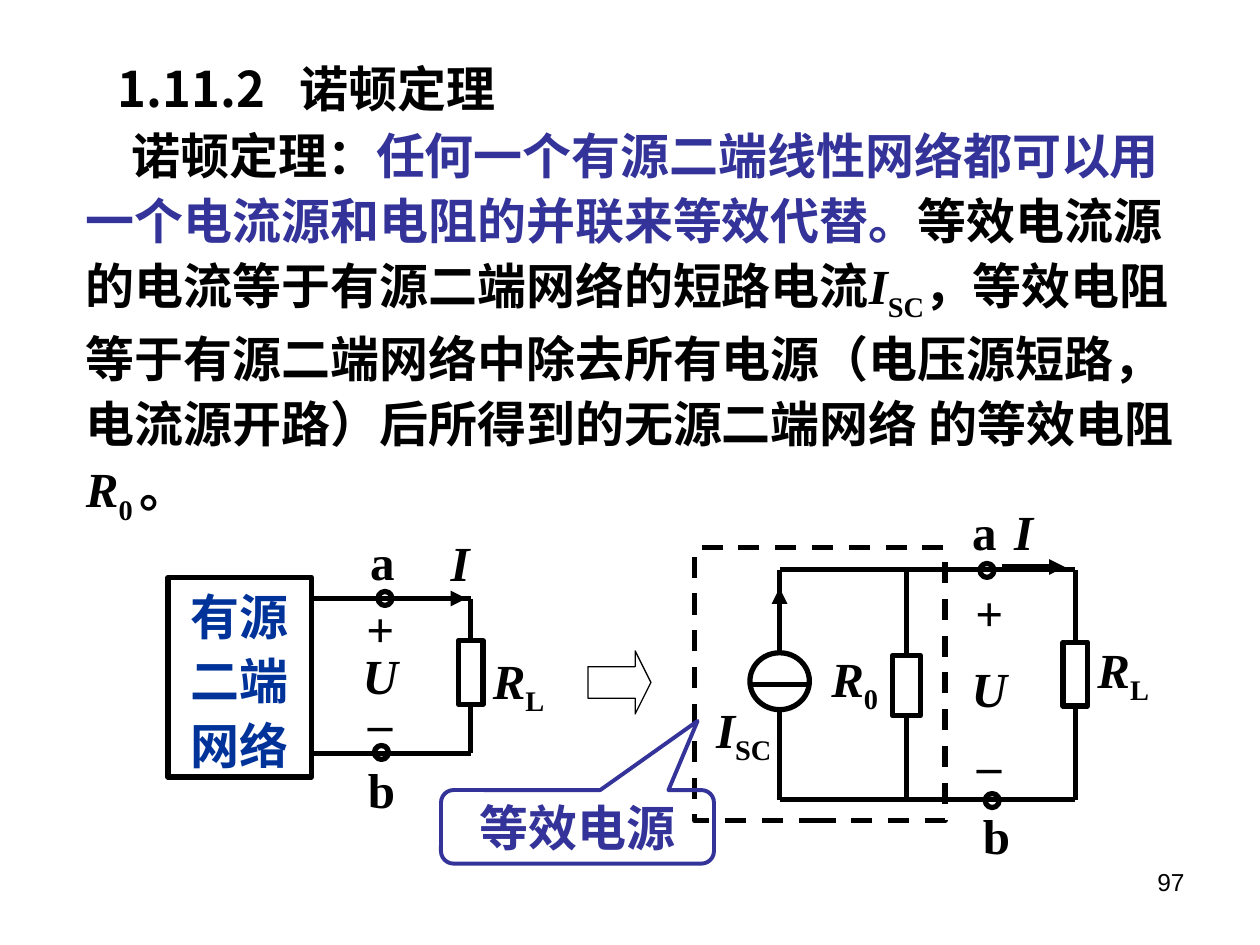
"""Build a slide on Norton's theorem with the two equivalent circuits."""
from dataclasses import dataclass

from lxml.etree import SubElement
from pptx import Presentation
from pptx.dml.color import RGBColor
from pptx.enum.dml import MSO_LINE_DASH_STYLE as Dash
from pptx.enum.shapes import MSO_CONNECTOR as Connector, MSO_SHAPE as Shape
from pptx.enum.text import MSO_ANCHOR as Anchor, MSO_AUTO_SIZE as AutoSize, PP_ALIGN as Align
from pptx.oxml.ns import qn
from pptx.util import Pt


@dataclass(frozen=True)
class Theme:
    black: str = "000000"
    white: str = "FFFFFF"
    violet: str = "333399"
    blue: str = "003399"
    serif: str = "Times New Roman"
    sans: str = "Arial"
    chinese: str = "Noto Sans CJK SC"
    text_size: float = 28
    page_size: float = 14
    wire: float = 3
    callout_line: float = 2.25
    thin: float = 0.75


THEME = Theme()


class CircuitSlide:
    def __init__(self, slide, theme):
        self.shapes = slide.shapes
        self.theme = theme

    def add_run(self, paragraph, text, kind="", color=None, latin=None, size=None, bold=True):
        run = paragraph.add_run()
        run.text = text
        font = run.font
        font.size = Pt(size or self.theme.text_size)
        font.bold = bold
        font.italic = kind == "italic"
        font.color.rgb = RGBColor.from_string(color or self.theme.black)
        font.name = latin or self.theme.serif
        properties = run._r.get_or_add_rPr()
        SubElement(properties, qn("a:ea")).set("typeface", self.theme.chinese)
        if kind == "sub":
            properties.set("baseline", "-25000")

    def set_text(self, frame, paragraphs, align=Align.CENTER, spacing=None, wrap=False,
                 anchor=Anchor.TOP, **style):
        frame.auto_size = AutoSize.NONE
        frame.word_wrap = wrap
        frame.vertical_anchor = anchor
        for index, runs in enumerate(paragraphs):
            paragraph = frame.add_paragraph() if index else frame.paragraphs[0]
            paragraph.alignment = align
            paragraph.space_before = Pt(0)
            if spacing:
                paragraph.line_spacing = spacing
            for run in runs:
                self.add_run(paragraph, *run, **style)

    def title(self, left, top, width, height, number, name, tab):
        title = self.shapes.title
        title.left, title.top, title.width, title.height = map(Pt, (left, top, width, height))
        properties = title.text_frame.paragraphs[0]._p.get_or_add_pPr()
        stop = SubElement(SubElement(properties, qn("a:tabLst")), qn("a:tab"))
        stop.set("pos", str(Pt(tab)))
        stop.set("algn", "l")
        self.set_text(title.text_frame, [[(number + "\t",), (name,)]], Align.LEFT, wrap=True,
                      latin=self.theme.chinese)

    def text(self, left, top, width, height, paragraphs, indent=0, **style):
        box = self.shapes.add_textbox(*map(Pt, (left, top, width, height)))
        self.set_text(box.text_frame, paragraphs, **style)
        if indent:
            box.text_frame.paragraphs[0]._p.get_or_add_pPr().set("indent", str(Pt(indent)))

    def label(self, left, top, width, *runs, align=Align.CENTER):
        self.text(left, top, width, 41, [runs], align=align)

    def shape(self, kind, left, top, width, height, color=None, line=None, fill=None,
              dash=None, adjustments=()):
        shape = self.shapes.add_shape(kind, *map(Pt, (left, top, width, height)))
        shape.shadow.inherit = False
        if fill:
            shape.fill.solid()
            shape.fill.fore_color.rgb = RGBColor.from_string(fill)
        else:
            shape.fill.background()
        shape.line.color.rgb = RGBColor.from_string(color or self.theme.black)
        shape.line.width = Pt(line or self.theme.wire)
        if dash:
            shape.line.dash_style = dash
        for index, value in enumerate(adjustments):
            shape.adjustments[index] = value
        return shape

    def wire(self, x1, y1, x2, y2, arrow=False):
        wire = self.shapes.add_connector(Connector.STRAIGHT, *map(Pt, (x1, y1, x2, y2)))
        wire.line.color.rgb = RGBColor.from_string(self.theme.black)
        wire.line.width = Pt(self.theme.wire)
        properties = wire._element.spPr
        if arrow:
            SubElement(properties.find(qn("a:ln")), qn("a:tailEnd")).set("type", "triangle")
        SubElement(properties, qn("a:effectLst"))
        return wire

    def resistor(self, center, top, width, height, wire_top, wire_bottom):
        body = self.shape(Shape.RECTANGLE, center - width / 2, top, width, height)
        for wire_end, side in ((wire_top, 0), (wire_bottom, 2)):
            self.wire(center, wire_end, center, top).end_connect(body, side)

    def terminal(self, left, top):
        self.shape(Shape.OVAL, left, top, 8, 8)

    def voltage(self, left, top, height, spacing):
        self.text(left, top, 34.5, height, [[("+",)], [("U", "italic")], [("–",)]],
                  spacing=spacing)


def add_theorem(page):
    page.title(60, 30, 360, 48, "1.11.2", "诺顿定理", 104)
    page.text(42, 70, 648, 229, [[
        ("诺顿定理：",),
        ("任何一个有源二端线性网络都可以用一个电流源和电阻的并联来等效代替。", "", THEME.violet),
        ("等效电流源的电流等于有源二端网络的短路电流",),
        ("I", "italic"), ("SC", "sub"),
        ("，等效电阻等于有源二端网络中除去所有电源（电压源短路，电流源开路）"
         "后所得到的无源二端网络 的等效电阻",),
        ("R", "italic"), ("0 ", "sub"), ("。",),
    ]], indent=26, align=Align.LEFT, spacing=1.1, wrap=True, anchor=Anchor.MIDDLE)
    page.text(516, 492, 168, 37, [[("97",)]], align=Align.RIGHT, wrap=True,
              latin=THEME.sans, size=THEME.page_size, bold=False)


def add_network(page):
    top, bottom, load = 342, 430.5, 269
    network = page.shape(Shape.RECTANGLE, 96, 330, 82, 114)
    page.set_text(network.text_frame, [[(line,)] for line in ("有源", "二端", "网络")],
                  spacing=1.1, anchor=Anchor.MIDDLE, color=THEME.blue)
    for y in (top, bottom):
        page.wire(179.5, y, load, y)
    page.resistor(load, 366, 14, 36.5, top, bottom)
    page.wire(230.5, top, 266.5, top, arrow=True)
    page.terminal(216, 338)
    page.terminal(214, 426)
    page.voltage(200, 345, 88, 0.8)
    page.label(204, 300, 29, ("a",))
    page.label(203, 430.5, 30, ("b",))
    page.label(250.5, 301, 25, ("I", "italic"))
    page.label(274.5, 368, 46, ("R", "italic"), ("L", "sub"), align=Align.LEFT)


def add_equivalent(page):
    top, bottom, source, inner, load = 325.5, 457, 445.5, 518, 614.5
    page.shape(Shape.RECTANGLE, 397, 313, 143, 156, dash=Dash.DASH)
    callout = page.shape(Shape.ROUNDED_RECTANGULAR_CALLOUT, 252, 451.5, 156, 42,
                         THEME.violet, THEME.callout_line, adjustments=(0.44, -1.44, 0.17))
    page.set_text(callout.text_frame, [[("等效电源",)]], anchor=Anchor.MIDDLE,
                  color=THEME.violet)
    page.shape(Shape.OVAL, source - 17, 373, 34, 32.5)
    page.wire(source - 17, 391, source + 16, 391)
    page.wire(source, top, source, 373)
    page.wire(source, 405.5, source, bottom)
    page.wire(source, 372, source, 336, arrow=True)
    for y in (top, bottom):
        page.wire(source, y, load, y)
    page.resistor(inner, 374.5, 16, 34.5, top, bottom)
    page.resistor(load, 367, 14, 36.5, top, bottom)
    page.wire(572.5, 324, 608.5, 324, arrow=True)
    page.terminal(560, 322)
    page.terminal(563, 453.5)
    page.voltage(548, 319, 138, 1.3)
    page.label(548, 283, 29, ("a",))
    page.label(554.5, 457, 30, ("b",))
    page.label(572.5, 283, 25, ("I", "italic"))
    page.label(397.5, 396, 55, ("I", "italic"), ("SC", "sub"))
    page.label(468, 367, 56, ("R", "italic"), ("0", "sub"), align=Align.LEFT)
    page.label(620, 362, 46, ("R", "italic"), ("L", "sub"), align=Align.LEFT)


def main():
    presentation = Presentation()
    presentation.slide_width, presentation.slide_height = Pt(720), Pt(540)
    page = CircuitSlide(presentation.slides.add_slide(presentation.slide_layouts[5]), THEME)
    add_theorem(page)
    add_network(page)
    page.shape(Shape.RIGHT_ARROW, 336, 372, 36, 36, line=THEME.thin, fill=THEME.white,
               adjustments=(0.5, 0.25))
    add_equivalent(page)
    presentation.save("out.pptx")


if __name__ == "__main__":
    main()
